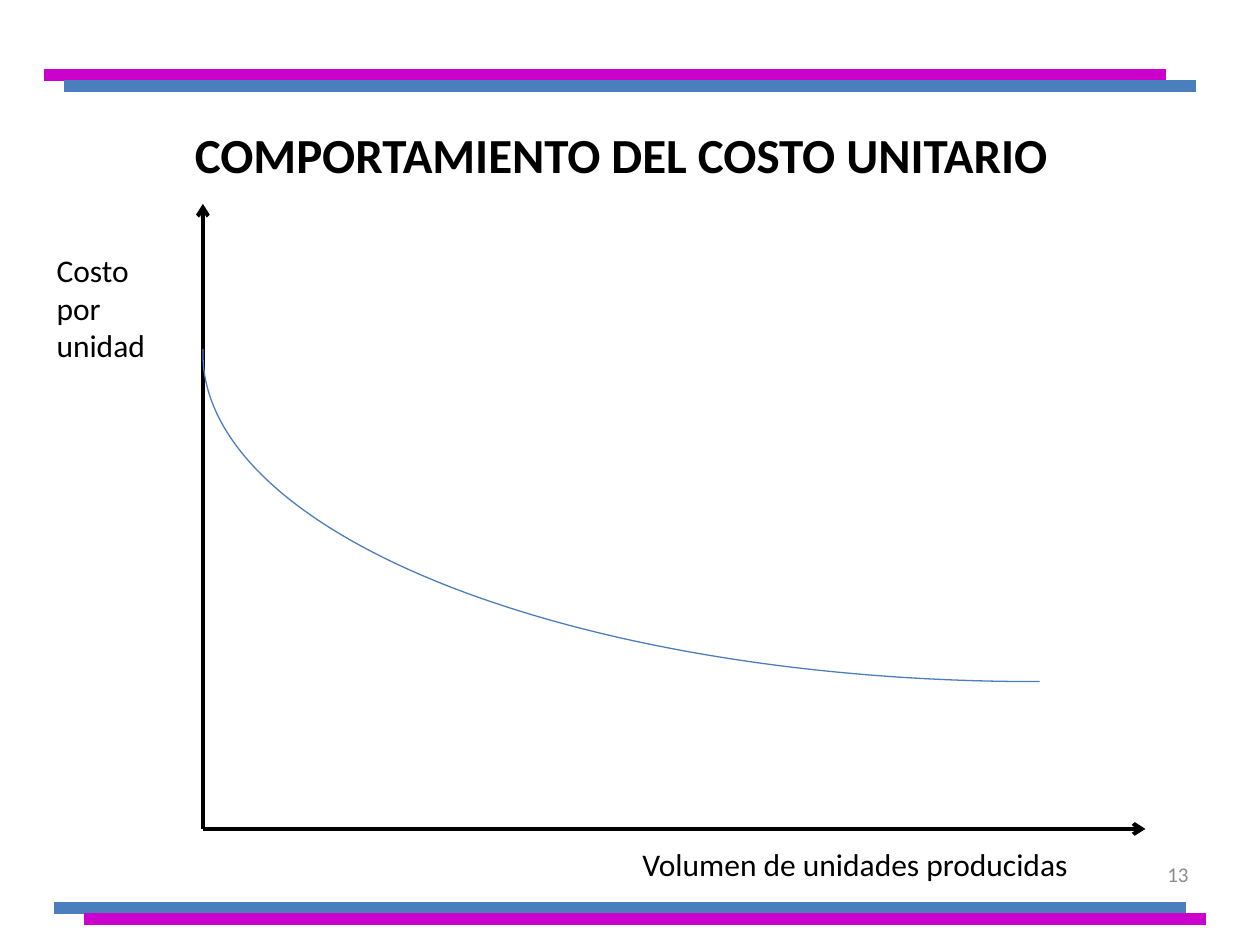
from pptx import Presentation
from pptx.dml.color import RGBColor
from pptx.enum.shapes import MSO_CONNECTOR, MSO_SHAPE
from pptx.enum.text import MSO_ANCHOR, PP_ALIGN
from pptx.oxml.ns import qn
from pptx.util import Cm, Pt
from lxml import etree

BLUE = RGBColor(0x4B, 0x7E, 0xBC)
MAGENTA = RGBColor(0xCC, 0x00, 0xCC)
BLACK = RGBColor(0x00, 0x00, 0x00)
GREY = RGBColor(0x8C, 0x8C, 0x8C)

ORIGIN_X, ORIGIN_Y = 4.09, 16.71


def add_line(s, x1, y1, x2, y2, color, width):
    line = s.shapes.add_connector(
        MSO_CONNECTOR.STRAIGHT, Cm(x1), Cm(y1), Cm(x2), Cm(y2))
    line.line.color.rgb = color
    line.line.width = Pt(width)
    etree.SubElement(line._element.spPr, qn("a:effectLst"))
    return line


def add_bar(s, x1, x2, y, color):
    add_line(s, x1, y, x2, y, color, 6.75)


def add_axis(s, x, y):
    """Draw an arrow from the origin of the graph to the given point."""
    axis = add_line(s, ORIGIN_X, ORIGIN_Y, x, y, BLACK, 2.25)
    ln = axis.line._get_or_add_ln()
    etree.SubElement(ln, qn("a:tailEnd"), type="arrow")


def add_cost_curve(s):
    arc = s.shapes.add_shape(
        MSO_SHAPE.ARC, Cm(ORIGIN_X), Cm(0.53), Cm(33.6), Cm(13.21))
    arc.rotation = 180
    arc.adjustments[0] = 161.65
    arc.adjustments[1] = 0.2
    arc.shadow.inherit = False
    arc.fill.background()
    arc.line.color.rgb = BLUE
    arc.line.width = Pt(0.75)


def add_text(s, x, y, w, h, text, size=18, color=BLACK, bold=False,
             align=PP_ALIGN.LEFT, anchor=MSO_ANCHOR.TOP):
    tf = s.shapes.add_textbox(Cm(x), Cm(y), Cm(w), Cm(h)).text_frame
    tf.word_wrap = True
    tf.vertical_anchor = anchor
    tf.text = text
    for p in tf.paragraphs:
        p.alignment = align
        for r in p.runs:
            r.font.name = "Calibri"
            r.font.size = Pt(size)
            r.font.bold = bold
            r.font.color.rgb = color


def main():
    prs = Presentation()
    prs.slide_width, prs.slide_height = Cm(25.4), Cm(19.05)
    s = prs.slides.add_slide(prs.slide_layouts[6])

    add_bar(s, 1.09, 23.9, 18.31, BLUE)
    add_bar(s, 1.7, 24.31, 18.52, MAGENTA)
    add_bar(s, 0.89, 23.5, 1.52, MAGENTA)
    add_bar(s, 1.3, 24.1, 1.73, BLUE)

    add_text(s, 18.29, 17.12, 5.92, 1.02, "13", size=12, color=GREY,
             align=PP_ALIGN.RIGHT, anchor=MSO_ANCHOR.MIDDLE)
    add_text(s, 1.09, 1.52, 22.86, 3.18, "COMPORTAMIENTO DEL COSTO UNITARIO",
             size=28, bold=True, align=PP_ALIGN.CENTER,
             anchor=MSO_ANCHOR.MIDDLE)

    add_axis(s, ORIGIN_X, 4.11)
    add_axis(s, 23.09, ORIGIN_Y)
    add_cost_curve(s)
    add_text(s, 12.7, 16.92, 10.21, 1.02, "Volumen de unidades producidas")
    add_text(s, 0.89, 4.93, 2.59, 2.57, "Costo\npor\nunidad")

    prs.save("out.pptx")


if __name__ == "__main__":
    main()
